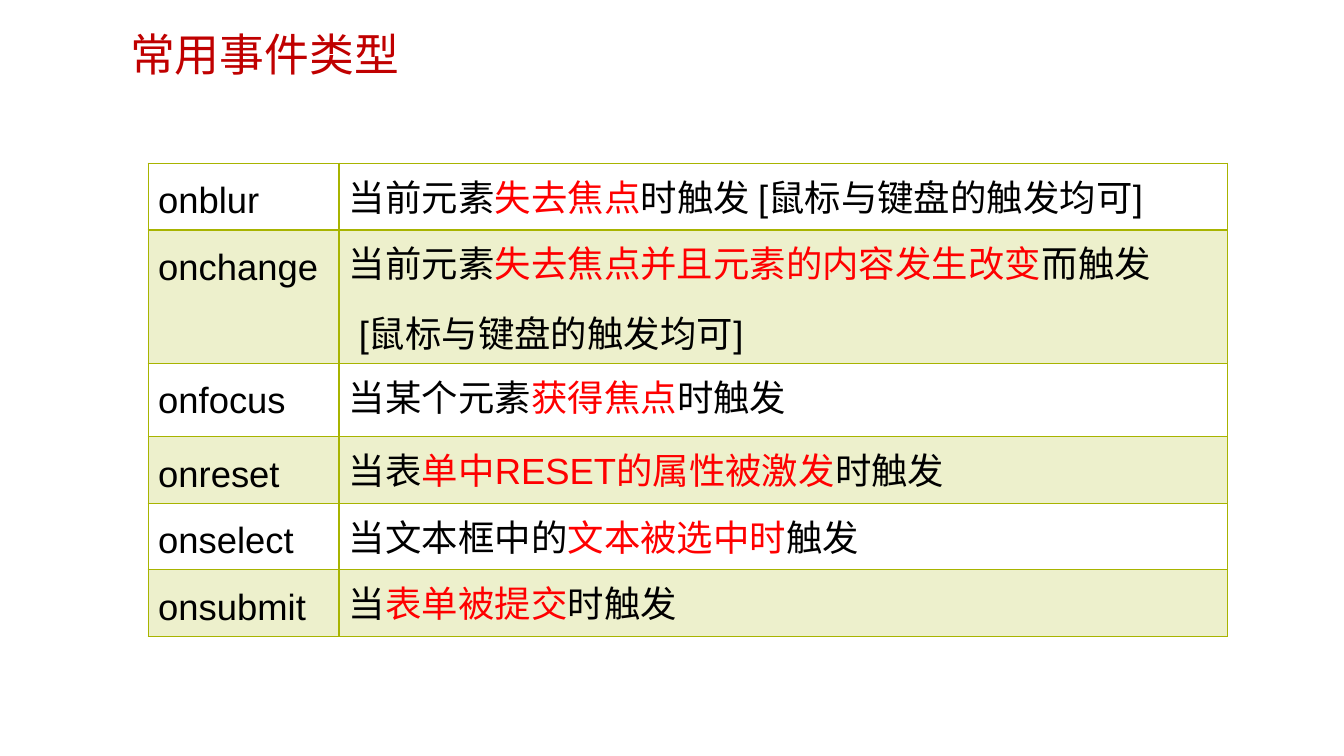
from dataclasses import dataclass

from lxml import etree
from pptx import Presentation
from pptx.dml.color import RGBColor
from pptx.enum import text
from pptx.oxml import ns
from pptx.util import Pt

BLACK = RGBColor(0x00, 0x00, 0x00)
RED = RGBColor(0xFF, 0x00, 0x00)
TITLE_RED = RGBColor(0xC0, 0x00, 0x00)
OLIVE = RGBColor(0xA8, 0xB4, 0x00)
LATIN_FONT = "Arial"
CHINESE_FONT = "Noto Sans CJK SC"
BAND_ALPHA = 20000
CONTINUATION_INDENT = Pt(7)
COLUMN_WIDTHS = (136.3, 635)


@dataclass(frozen=True)
class Event:
    name: str
    before: str
    key: str
    after: str
    note: str = ""
    height: float = 47.6


EVENTS = (
    Event("onblur", "当前元素", "失去焦点", "时触发 [鼠标与键盘的触发均可]"),
    Event("onchange", "当前元素", "失去焦点并且元素的内容发生改变", "而触发",
          "[鼠标与键盘的触发均可]", 95.2),
    Event("onfocus", "当某个元素", "获得焦点", "时触发", height=52.4),
    Event("onreset", "当表", "单中RESET的属性被激发", "时触发"),
    Event("onselect", "当文本框中的", "文本被选中时", "触发"),
    Event("onsubmit", "当", "表单被提交", "时触发"),
)


def style_paragraph(paragraph, size: float, color: RGBColor, latin: str) -> None:
    paragraph.font.size = Pt(size)
    paragraph.font.name = latin
    paragraph.font.color.rgb = color
    defaults = paragraph._p.get_or_add_pPr().find(ns.qn("a:defRPr"))
    etree.SubElement(defaults, ns.qn("a:ea"), typeface=CHINESE_FONT)


def style_cell_paragraph(paragraph) -> None:
    paragraph.line_spacing = Pt(38)
    paragraph.space_after = Pt(6)
    style_paragraph(paragraph, 26, BLACK, LATIN_FONT)


def add_border(cell, side: str, width: float) -> None:
    line = etree.SubElement(cell._tc.get_or_add_tcPr(), ns.qn(f"a:ln{side}"),
                            w=str(Pt(width)))
    fill = etree.SubElement(line, ns.qn("a:solidFill"))
    etree.SubElement(fill, ns.qn("a:srgbClr"), val=str(OLIVE))


def style_cell(cell, row: int) -> None:
    widths = {"L": 1, "R": 1, "T": 2 if row == 1 else 1, "B": 2 if row == 0 else 1}
    for side, width in widths.items():
        add_border(cell, side, width)
    if row % 2:
        cell.fill.solid()
        cell.fill.fore_color.rgb = OLIVE
        tint = cell._tc.tcPr.find(f"{ns.qn('a:solidFill')}/{ns.qn('a:srgbClr')}")
        etree.SubElement(tint, ns.qn("a:alpha"), val=str(BAND_ALPHA))
    else:
        cell.fill.background()


def write_description(cell, event: Event) -> None:
    description = cell.text_frame.paragraphs[0]
    style_cell_paragraph(description)
    for words in (event.before, event.key, event.after):
        run = description.add_run()
        run.text = words
        if words == event.key:
            run.font.color.rgb = RED
    if event.note:
        note = cell.text_frame.add_paragraph()
        note.text = event.note
        note.space_before = Pt(6)
        note._p.get_or_add_pPr().set("marL", str(CONTINUATION_INDENT))
        style_cell_paragraph(note)


def add_title(slide, words: str) -> None:
    title = slide.shapes.title
    title.left, title.top, title.width, title.height = Pt(85.7), Pt(19), Pt(645), Pt(39)
    frame = title.text_frame
    frame.text = words
    frame.word_wrap = True
    frame.auto_size = text.MSO_AUTO_SIZE.NONE
    frame.vertical_anchor = text.MSO_ANCHOR.MIDDLE
    heading = frame.paragraphs[0]
    heading.alignment = text.PP_ALIGN.LEFT
    heading.line_spacing = 1.0
    style_paragraph(heading, 32, TITLE_RED, CHINESE_FONT)


def add_event_table(slide) -> None:
    height = sum(event.height for event in EVENTS)
    table = slide.shapes.add_table(len(EVENTS), len(COLUMN_WIDTHS), Pt(105.8), Pt(116.6),
                                   Pt(sum(COLUMN_WIDTHS)), Pt(height)).table
    table.first_row = table.horz_banding = False
    for column, width in zip(table.columns, COLUMN_WIDTHS):
        column.width = Pt(width)
    for row, event in enumerate(EVENTS):
        table.rows[row].height = Pt(event.height)
        name_cell, description_cell = table.rows[row].cells
        for cell in (name_cell, description_cell):
            style_cell(cell, row)
        name_cell.text = event.name
        style_cell_paragraph(name_cell.text_frame.paragraphs[0])
        write_description(description_cell, event)


def main() -> None:
    deck = Presentation()
    deck.slide_width, deck.slide_height = Pt(960), Pt(540)
    slide = deck.slides.add_slide(deck.slide_layouts[5])
    add_title(slide, "常用事件类型")
    add_event_table(slide)
    deck.save("out.pptx")


if __name__ == "__main__":
    main()
